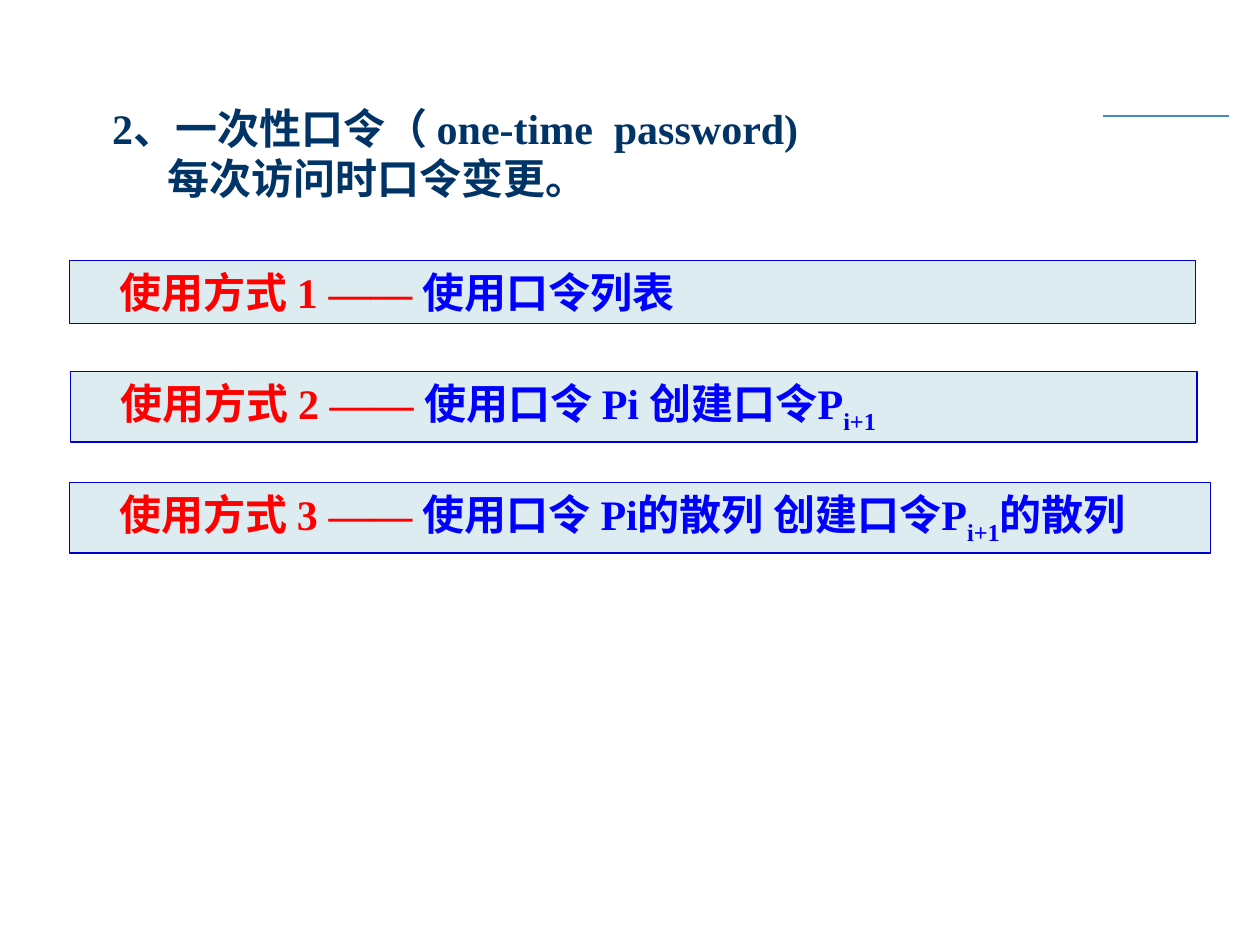
from pptx import Presentation, util as u
from pptx.dml.color import RGBColor
from pptx.enum import shapes, text
from pptx.oxml.ns import qn
from lxml import etree

COLORS = {"title": "003366", "label": "FF0000", "body": "0000FF",
          "fill": "DCECF1", "border": "0000CC", "rule": "438ACB"}
FONT = {"name": "Times New Roman", "size": u.Pt(24), "bold": True}
FRAME = {"word_wrap": True, "auto_size": text.MSO_AUTO_SIZE.NONE,
         "vertical_anchor": text.MSO_ANCHOR.TOP,
         "margin_left": u.Inches(0.1), "margin_right": u.Inches(0.1),
         "margin_top": u.Inches(0.05), "margin_bottom": u.Inches(0.05)}


def apply(obj, values):
    for name, value in values.items():
        setattr(obj, name, value)


def rgb(key):
    return RGBColor.from_string(COLORS[key])


class SlideBuilder:
    def __init__(self, slide):
        self.slide = slide

    def paragraph(self, p, indent, runs):
        """Each run is (text, colour key, baseline shift in percent)."""
        p.alignment = text.PP_ALIGN.LEFT
        p._p.get_or_add_pPr().set("marL", str(u.Inches(indent)))
        p._p.get_or_add_pPr().set("indent", "0")
        for words, color, shift in runs:
            r = p.add_run()
            r.text = words
            apply(r.font, FONT)
            r.font.color.rgb = rgb(color)
            if shift:
                r._r.get_or_add_rPr().set("baseline", str(shift * 1000))

    def title(self, box, lines):
        sp = self.slide.shapes.title
        apply(sp, dict(zip(("left", "top", "width", "height"), map(u.Inches, box))))
        tf = sp.text_frame
        apply(tf, FRAME)
        for i, (words, indent) in enumerate(lines):
            p = tf.add_paragraph() if i else tf.paragraphs[0]
            self.paragraph(p, indent, [(words, "title", 0)])

    def bar(self, box, runs):
        sp = self.slide.shapes.add_shape(shapes.MSO_SHAPE.RECTANGLE, *map(u.Inches, box))
        sp.shadow.inherit = False
        sp.fill.solid()
        sp.fill.fore_color.rgb = rgb("fill")
        sp.line.color.rgb = rgb("border")
        sp.line.width = u.Pt(0.75)
        apply(sp.text_frame, FRAME)
        self.paragraph(sp.text_frame.paragraphs[0], 0.3, runs)

    def rule(self, *ends):
        line = self.slide.shapes.add_connector(
            shapes.MSO_CONNECTOR.STRAIGHT, *map(u.Inches, ends))
        line.line.color.rgb = rgb("rule")
        line.line.width = u.Pt(0.75)
        etree.SubElement(line._element.spPr, qn("a:effectLst"))


def main():
    prs = Presentation()
    prs.slide_width, prs.slide_height = u.Inches(10), u.Inches(7.5)
    s = SlideBuilder(prs.slides.add_slide(prs.slide_layouts[5]))

    # Heading and decorative rule
    s.rule(8.75, 0.92, 9.75, 0.92)
    s.title((0.64, 0.76, 8.94, 0.9),
            [("2、一次性口令（ one-time  password)", 0.15),
             ("每次访问时口令变更。", 0.59)])

    # Three ways of using one-time passwords
    subscript = ("i+1", "body", -25)
    methods = [
        ((0.55, 8.94, 0.5), [("使用口令列表", "body", 0)]),
        ((0.56, 8.94, 0.56), [("使用口令 Pi 创建口令P", "body", 0), subscript]),
        ((0.55, 9.06, 0.56), [("使用口令 Pi的散列 创建口令P", "body", 0), subscript,
                              ("的散列", "body", 0)]),
    ]
    for i, ((left, width, height), runs) in enumerate(methods):
        label = (f"使用方式 {i + 1} —— ", "label", 0)
        s.bar((left, 2.07 + 0.88 * i, width, height), [label, *runs])

    prs.save("out.pptx")


if __name__ == "__main__":
    main()
